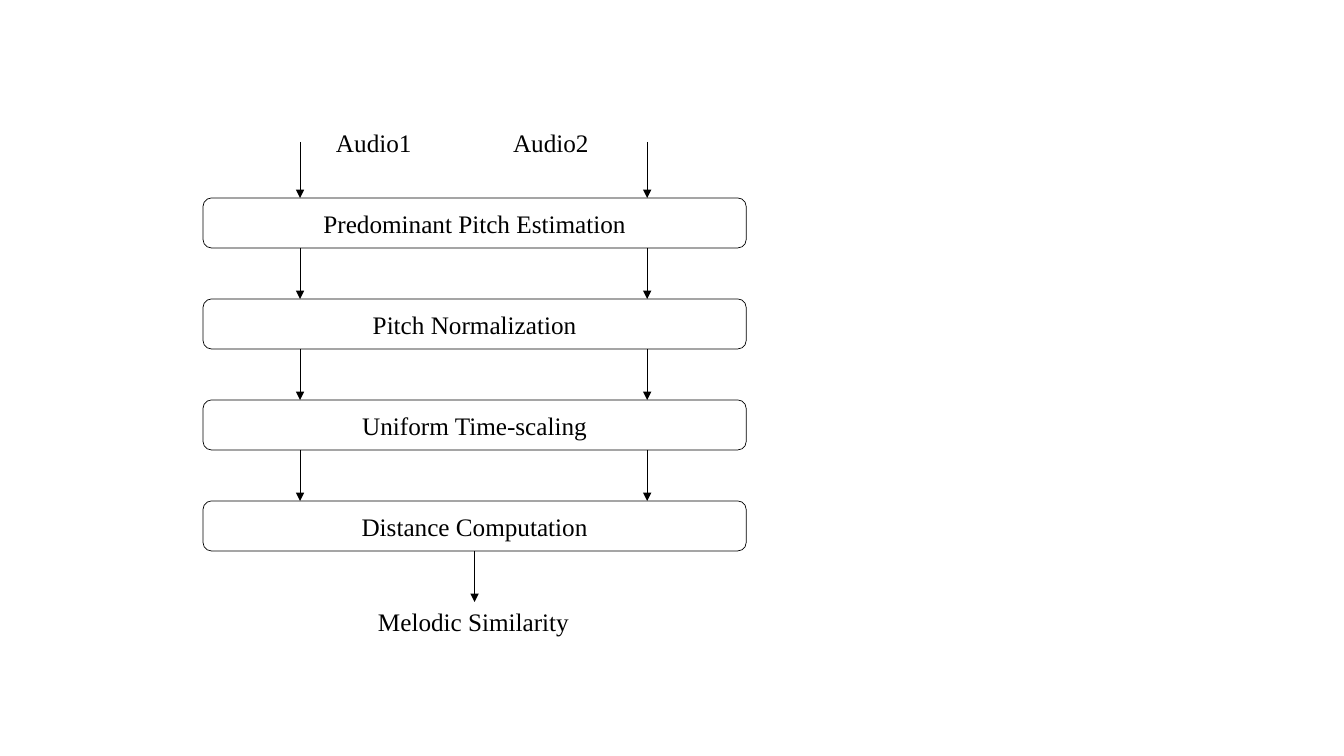
from lxml import etree
from pptx import Presentation
from pptx.dml.color import RGBColor
from pptx.enum.shapes import MSO_CONNECTOR, MSO_SHAPE
from pptx.enum.text import MSO_ANCHOR, MSO_AUTO_SIZE, PP_ALIGN
from pptx.oxml.ns import qn
from pptx.util import Inches, Pt

ROUND = MSO_SHAPE.ROUNDED_RECTANGLE
STRAIGHT = MSO_CONNECTOR.STRAIGHT
LEFT, CENTER = PP_ALIGN.LEFT, PP_ALIGN.CENTER
MIDDLE = MSO_ANCHOR.MIDDLE
GROW = MSO_AUTO_SIZE.SHAPE_TO_FIT_TEXT
BLACK = RGBColor(0, 0, 0)
FONT = "Times New Roman"
THIN = Pt(0.5)

# Content
STEPS = ["Predominant Pitch Estimation", "Pitch Normalization",
         "Uniform Time-scaling", "Distance Computation"]
LABELS = [("Audio1", 326, 122, 97), ("Audio2", 503, 122, 97),
          ("Melodic Similarity", 368, 601, 214)]

# Layout in pixels
BOX_X, BOX_Y, BOX_W, BOX_H = 203, 198, 543, 50
PITCH = 101
LANES = (300, 647)
START = 142
LABEL_H = 40


def px(n):
    return round(n * 914400 / 100.8)


def write(shape, text, align=LEFT, size=18, color=BLACK):
    para = shape.text_frame.paragraphs[0]
    para.alignment = align
    run = para.add_run()
    run.text = text
    run.font.name = FONT
    run.font.size = Pt(size)
    run.font.color.rgb = color


def arrow(x, top, end):
    line = slide.shapes.add_connector(
        STRAIGHT, px(x), px(top), px(x), px(end))
    line.line.color.rgb = BLACK
    line.line.width = THIN
    tip = etree.SubElement(line.line._get_or_add_ln(), qn("a:tailEnd"))
    tip.set("type", "triangle")
    etree.SubElement(line._element.spPr, qn("a:effectLst"))


deck = Presentation()
deck.slide_width, deck.slide_height = Inches(13.33), Inches(7.5)
slide = deck.slides.add_slide(deck.slide_layouts[6])

# Processing steps, each fed by one arrow per audio lane
above = START
for i, step in enumerate(STEPS):
    top = BOX_Y + i * PITCH
    box = slide.shapes.add_shape(
        ROUND, px(BOX_X), px(top), px(BOX_W), px(BOX_H))
    box.shadow.inherit = False
    box.fill.background()
    box.line.color.rgb = BLACK
    box.line.width = THIN
    box.text_frame.vertical_anchor = MIDDLE
    write(box, step, align=CENTER)
    for x in LANES:
        arrow(x, above, top)
    above = top + BOX_H

# Result arrow
arrow(BOX_X + BOX_W / 2, above, above + PITCH - BOX_H)

# Input and result labels
for text, x, y, width in LABELS:
    label = slide.shapes.add_textbox(px(x), px(y), px(width), px(LABEL_H))
    label.text_frame.word_wrap = False
    label.text_frame.auto_size = GROW
    write(label, text)

deck.save("out.pptx")
